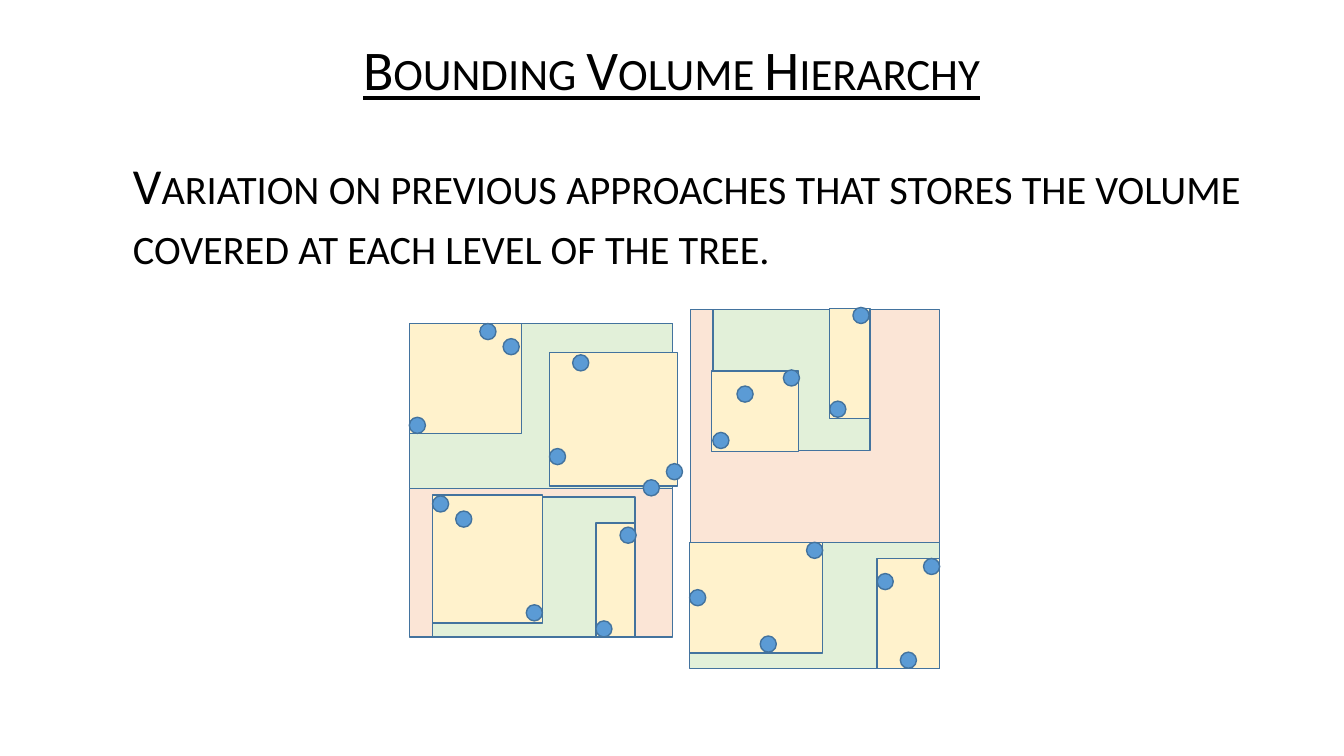
from pptx import Presentation
from pptx.dml.color import RGBColor
from pptx.enum.shapes import MSO_SHAPE
from pptx.enum.text import MSO_ANCHOR, PP_ALIGN
from pptx.util import Emu, Pt

RED, GREEN, YELLOW, BLUE = "FBE5D6", "E2F0D9", "FFF2CC", "5B9BD5"

BOXES = {
    RED: [(685, 307, 247, 356), (406, 321, 261, 311)],
    GREEN: [(684, 538, 248, 125), (429, 493, 201, 139),
            (707, 307, 156, 140), (406, 321, 261, 164)],
    YELLOW: [(684, 538, 132, 110), (429, 491, 109, 127),
             (706, 368, 86, 80), (406, 321, 111, 109),
             (870, 554, 62, 109), (823, 306, 40, 109),
             (591, 519, 39, 113), (545, 350, 127, 132)],
}
DOT_ROWS = [7, 12, 13, 1, 2, 19, 9, 3, 20, 14, 11, 10,
            18, 8, 5, 21, 4, 15, 6, 0, 17, 22, 16]


def px(n):
    return Emu(n * 9144)


def color(value):
    return RGBColor.from_string(value)


class Canvas:
    """Holds the current slide and its style, and draws elements on it."""

    font, ink, outline = "Calibri", "000000", "43739E"

    def __init__(self, prs):
        self.s = prs.slides.add_slide(prs.slide_layouts[6])

    def shape(self, kind, x, y, w, h, fill):
        sp = self.s.shapes.add_shape(kind, px(x), px(y), px(w), px(h))
        sp.shadow.inherit = False
        sp.fill.solid()
        sp.fill.fore_color.rgb = color(fill)
        sp.line.color.rgb = color(self.outline)
        sp.line.width = Pt(1)

    def text(self, x, y, w, h, text, size, align=PP_ALIGN.LEFT,
             indent=0, spacing=1.0, underline=False):
        tf = self.s.shapes.add_textbox(px(x), px(y), px(w), px(h)).text_frame
        tf.word_wrap = True
        tf.vertical_anchor = MSO_ANCHOR.MIDDLE
        tf.text = text
        p = tf.paragraphs[0]
        p.alignment = align
        p.line_spacing = spacing
        p._p.get_or_add_pPr().set("marL", str(px(indent)))
        r = p.runs[0]
        r.font.name = self.font
        r.font.size = Pt(size)
        r.font.color.rgb = color(self.ink)
        r.font.underline = underline
        r._r.get_or_add_rPr().set("cap", "small")


def main():
    prs = Presentation()
    prs.slide_width, prs.slide_height = px(1333), px(750)
    c = Canvas(prs)
    for fill, boxes in BOXES.items():
        for box in boxes:
            c.shape(MSO_SHAPE.RECTANGLE, *box, fill)
    c.text(72, 132, 1189, 161,
           "Variation on previous approaches that stores the volume "
           "covered at each level of the tree.", 36, indent=50)
    c.text(174, 29, 984, 85, "Bounding Volume Hierarchy", 40,
           align=PP_ALIGN.CENTER, spacing=0.9, underline=True)
    last = len(DOT_ROWS) - 1
    for col, row in enumerate(DOT_ROWS):
        c.shape(MSO_SHAPE.OVAL, 406 + round(510 * col / last),
                305 + round(342 * row / last), 16, 16, BLUE)
    prs.save("out.pptx")


if __name__ == "__main__":
    main()
